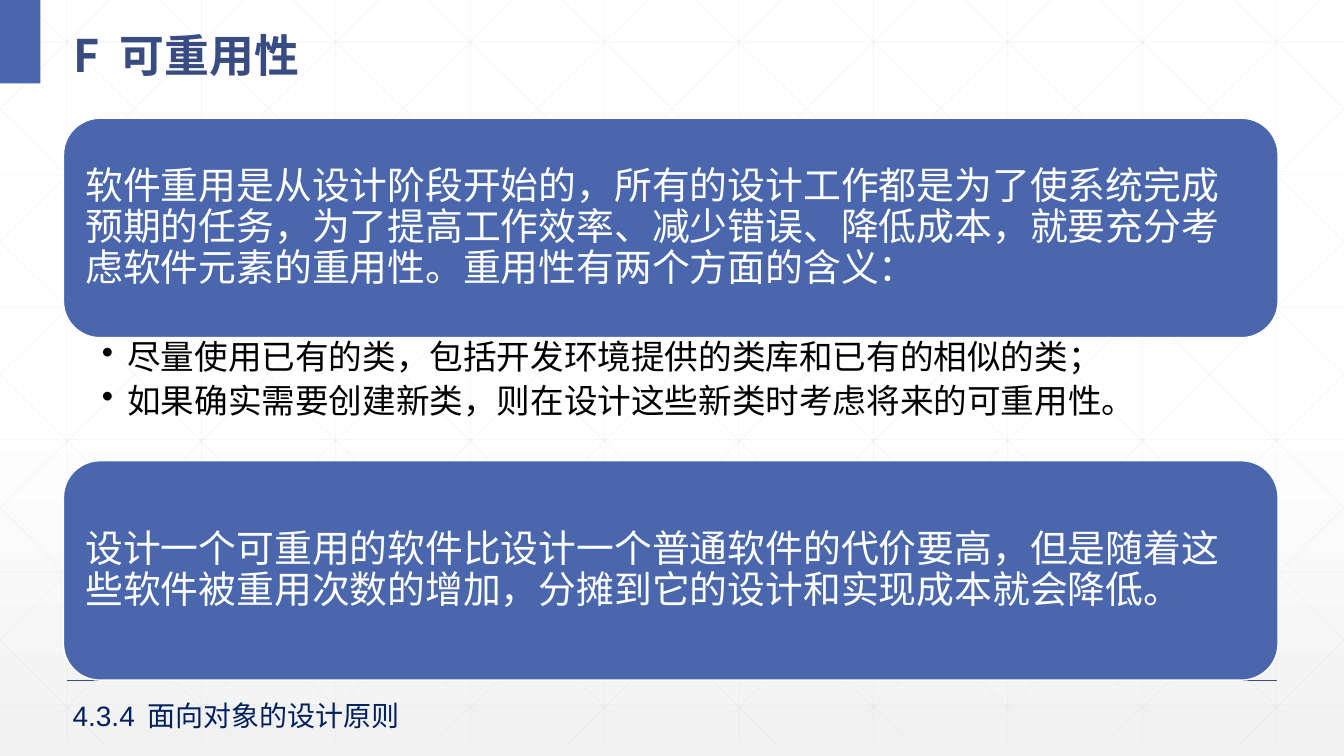
import pptx
import pptx.util
import pptx.dml.color
import pptx.enum.shapes
import pptx.enum.text
import pptx.oxml.ns
from lxml import etree

Cm = pptx.util.Cm
Pt = pptx.util.Pt
qn = pptx.oxml.ns.qn
ANCHOR = pptx.enum.text.MSO_ANCHOR
SHAPE = pptx.enum.shapes.MSO_SHAPE

WIDE, HIGH = 33.87, 19.05
BLUE, NAVY, WHITE = "4A66AC", "384C81", "FFFFFF"
HAN = "Noto Sans CJK SC"
LEFT, SPAN = 1.6, 30.61

INTRO = ("软件重用是从设计阶段开始的，所有的设计工作都是为了使系统完成预期的任务，"
         "为了提高工作效率、减少错误、降低成本，就要充分考虑软件元素的重用性。"
         "重用性有两个方面的含义：")
POINTS = ["尽量使用已有的类，包括开发环境提供的类库和已有的相似的类；",
          "如果确实需要创建新类，则在设计这些新类时考虑将来的可重用性。"]
COST = ("设计一个可重用的软件比设计一个普通软件的代价要高，"
        "但是随着这些软件被重用次数的增加，分摊到它的设计和实现成本就会降低。")


def tint(color, code):
    """Set a colour format from a hex string."""
    color.rgb = pptx.dml.color.RGBColor.from_string(code)


def write(shape, *texts, size=27, font="Arial", color=WHITE, bold=False, lead=None,
          after=0, anchor=ANCHOR.TOP, pad=(0.25, 0.13, 0.25, 0.13), tab=None, bullet=False):
    """Fill a shape with one paragraph per text."""
    frame = shape.text_frame
    frame.word_wrap = True
    frame.vertical_anchor = anchor
    (frame.margin_left, frame.margin_top,
     frame.margin_right, frame.margin_bottom) = map(Cm, pad)
    for i, text in enumerate(texts):
        para = frame.add_paragraph() if i else frame.paragraphs[0]
        para.alignment = pptx.enum.text.PP_ALIGN.LEFT
        para.line_spacing = lead
        para.space_after = Pt(after)
        props = para._p.get_or_add_pPr()
        if bullet:
            props.set("marL", str(Cm(0.64)))
            props.set("indent", str(-Cm(0.64)))
            etree.SubElement(props, qn("a:buChar"), char="•")
        if tab:
            stops = etree.SubElement(props, qn("a:tabLst"))
            etree.SubElement(stops, qn("a:tab"), pos=str(Cm(tab)), algn="l")
        run = para.add_run()
        run.text = text
        run.font.size, run.font.name, run.font.bold = Pt(size), font, bold
        tint(run.font.color, color)
        etree.SubElement(run._r.get_or_add_rPr(), qn("a:ea"), typeface=HAN)


def label(slide, box, *texts, **style):
    """Add a text box."""
    write(slide.shapes.add_textbox(*map(Cm, box)), *texts, **style)


def block(slide, kind, box, edge=None):
    """Add a blue shape, with an outline if an edge colour is given."""
    shape = slide.shapes.add_shape(kind, *map(Cm, box))
    shape.shadow.inherit = False
    shape.fill.solid()
    tint(shape.fill.fore_color, BLUE)
    if edge:
        tint(shape.line.color, edge)
        shape.line.width = Pt(1)
    else:
        shape.line.fill.background()
    return shape


def card(slide, top, text):
    """Add a rounded card with its text."""
    shape = block(slide, SHAPE.ROUNDED_RECTANGLE, (LEFT, top, SPAN, 5.53), WHITE)
    write(shape, text, lead=0.9, anchor=ANCHOR.MIDDLE, pad=(0.28,) * 4)


def rule(slide, ends, color, width, alpha=None):
    """Add a straight line, see-through if alpha is given in percent."""
    line = slide.shapes.add_connector(
        pptx.enum.shapes.MSO_CONNECTOR.STRAIGHT, *map(Cm, ends))
    tint(line.line.color, color)
    line.line.width = Pt(width)
    props = line._element.spPr
    if alpha:
        hue = next(props.iter(qn("a:srgbClr")))
        etree.SubElement(hue, qn("a:alpha"), val=str(alpha * 1000))
    etree.SubElement(props, qn("a:effectLst"))


def grid(slide):
    """Draw the faint upright, level and slanted lines."""
    deep, run, step = 18.73, 18.93, WIDE / 10
    ends = [(x, 0, x, deep) for x in (1.69 + step * i for i in range(10))]
    ends += [(0, y, WIDE, y) for y in (1.06 + 3.34 * i for i in range(6))]
    for i in range(-5, 10):
        x = 0.62 + step * i
        near, far = max(0, -x), min(run, WIDE - x)
        y1, y2 = near * deep / run, far * deep / run
        ends.append((x + near, y1, x + far, y2))
        ends.append((WIDE - x - near, y1, WIDE - x - far, y2))
    for item in ends:
        rule(slide, item, "D9D9D9", 0.5, 25)


def shade(slide):
    """Fade the background from white to pale grey."""
    fill = slide.background.fill
    fill.gradient()
    fill.gradient_angle = 270
    for stop, spot, code in zip(fill.gradient_stops, (0.53, 1), (WHITE, "F2F2F2")):
        stop.position = spot
        tint(stop.color, code)


def main():
    """Build the slide and save it."""
    deck = pptx.Presentation()
    deck.slide_width, deck.slide_height = Cm(WIDE), Cm(HIGH)
    slide = deck.slides.add_slide(deck.slide_layouts[6])
    shade(slide)
    grid(slide)
    rule(slide, (1.69, 17.15, 32.18, 17.15), NAVY, 1)
    block(slide, SHAPE.RECTANGLE, (0, 0, 1.02, 2.1))
    label(slide, (LEFT, 0.25, 31.55, 1.85), "F\t可重用性", size=32, font=HAN,
          color=NAVY, bold=True, lead=1.3, anchor=ANCHOR.MIDDLE, tab=1.17)
    card(slide, 2.98, INTRO)
    label(slide, (LEFT, 8.51, SPAN, 3.1), *POINTS, size=24, color="000000", lead=0.9,
          after=5, pad=(0.97, 0.08, 0.48, 0.08), bullet=True)
    card(slide, 11.61, COST)
    label(slide, (1.58, 17.47, 15.34, 1.12), "4.3.4\t面向对象的设计原则",
          size=20, color="002060", tab=1.88)
    deck.save("out.pptx")


if __name__ == "__main__":
    main()
